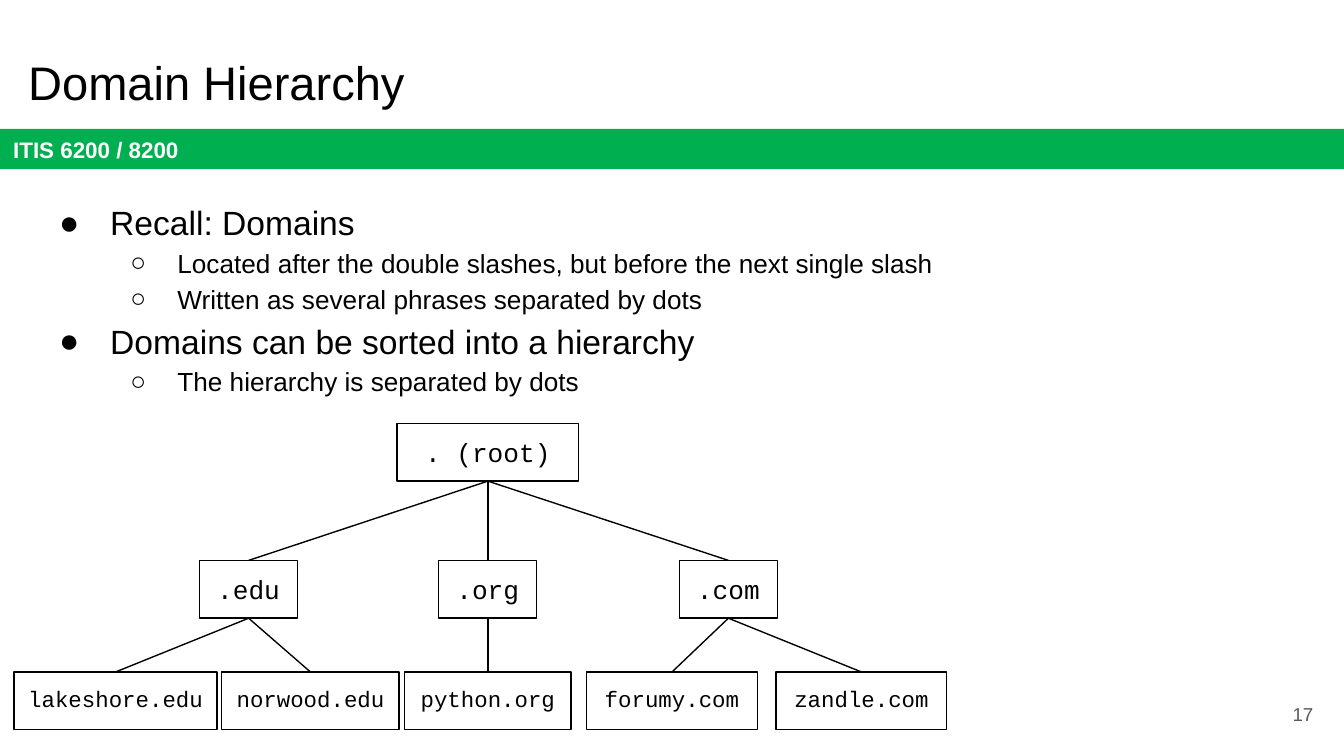
from lxml.etree import SubElement
from pptx import Presentation
from pptx.dml.color import RGBColor
from pptx.enum.shapes import MSO_CONNECTOR, MSO_SHAPE
from pptx.enum.text import MSO_ANCHOR, MSO_AUTO_SIZE, PP_ALIGN
from pptx.oxml.ns import qn
from pptx.util import Inches, Pt

BLACK = RGBColor(0x00, 0x00, 0x00)
WHITE = RGBColor(0xFF, 0xFF, 0xFF)
GREEN = RGBColor(0x00, 0xB0, 0x50)
GRAY = RGBColor(0x59, 0x59, 0x59)
SANS, MONO = "Arial", "Courier New"

WIDTH = 10
HEIGHT = WIDTH * 9 / 16
TITLE = "Domain Hierarchy"
COURSE = "ITIS 6200 / 8200"
PAGE_NUMBER = "17"
BULLETS = [
    (0, "Recall: Domains"),
    (1, "Located after the double slashes, but before the next single slash"),
    (1, "Written as several phrases separated by dots"),
    (0, "Domains can be sorted into a hierarchy"),
    (1, "The hierarchy is separated by dots"),
]
# Per level: bullet character, font size, left margin, hanging indent
BULLET_STYLES = [("●", 18, 0.5, 0.38), ("○", 14, 1, 0.35)]

# Top-level domains: (name, centre, sites), each site: (name, centre, box width)
ROOT, ROOT_CENTER = ". (root)", 3.63
HIERARCHY = [
    (".edu", 1.85, [("lakeshore.edu", 0.86, 1.51), ("norwood.edu", 2.31, 1.32)]),
    (".org", 3.63, [("python.org", 3.63, 1.24)]),
    (".com", 5.42, [("forumy.com", 5, 1.27), ("zandle.com", 6.41, 1.27)]),
]
ROOT_TOP, DOMAIN_TOP, SITE_TOP = 3.15, 4.17, 5
ROOT_WIDTH, DOMAIN_WIDTH, BOX_HEIGHT = 1.35, 0.73, 0.43


def place(shape, left, top, width, height):
    shape.left, shape.top = Inches(left), Inches(top)
    shape.width, shape.height = Inches(width), Inches(height)


def prepare_frame(shape, anchor):
    frame = shape.text_frame
    frame.word_wrap = True
    frame.auto_size = MSO_AUTO_SIZE.NONE
    frame.vertical_anchor = anchor
    frame.margin_left = frame.margin_right = Inches(0.1)
    frame.margin_top = frame.margin_bottom = Inches(0.1)
    return frame


def format_runs(paragraph, size, color, font=SANS, bold=False):
    for run in paragraph.runs:
        run.font.name, run.font.size, run.font.bold = font, Pt(size), bold
        run.font.color.rgb = color


def write(shape, text, size, color, font=SANS, bold=False,
          align=PP_ALIGN.LEFT, anchor=MSO_ANCHOR.MIDDLE):
    frame = prepare_frame(shape, anchor)
    frame.text = text
    paragraph = frame.paragraphs[0]
    paragraph.alignment = align
    format_runs(paragraph, size, color, font, bold)


def set_bullet(paragraph, character, margin, hanging):
    properties = paragraph._p.get_or_add_pPr()
    properties.set("marL", str(Inches(margin)))
    properties.set("indent", str(-Inches(hanging)))
    color = SubElement(properties, qn("a:buClr"))
    SubElement(color, qn("a:srgbClr"), val=str(BLACK))
    SubElement(properties, qn("a:buFont"), typeface=SANS)
    SubElement(properties, qn("a:buChar"), char=character)


def fill_body(shape):
    frame = prepare_frame(shape, MSO_ANCHOR.TOP)
    frame.text = "\n".join(text for _, text in BULLETS)
    for paragraph, (level, _) in zip(frame.paragraphs, BULLETS):
        character, size, margin, hanging = BULLET_STYLES[level]
        paragraph.level = level
        paragraph.line_spacing = 1.15
        paragraph.space_before = Pt(0)
        set_bullet(paragraph, character, margin, hanging)
        format_runs(paragraph, size, BLACK)


def add_rectangle(slide, left, top, width, height):
    shape = slide.shapes.add_shape(
        MSO_SHAPE.RECTANGLE, Inches(left), Inches(top), Inches(width), Inches(height))
    shape.shadow.inherit = False
    return shape


def add_node(slide, text, center, top, width, size=14, anchor=MSO_ANCHOR.TOP):
    box = add_rectangle(slide, center - width / 2, top, width, BOX_HEIGHT)
    box.fill.background()
    box.line.color.rgb = BLACK
    box.line.width = Pt(0.75)
    write(box, text, size, BLACK, MONO, align=PP_ALIGN.CENTER, anchor=anchor)
    box.text_frame.word_wrap = False
    return box


def link(slide, parent, child):
    """Join the bottom of the parent box to the top of the child box."""
    line = slide.shapes.add_connector(MSO_CONNECTOR.STRAIGHT, 0, 0, 0, 0)
    line.begin_connect(parent, 2)
    line.end_connect(child, 0)
    line.line.color.rgb = BLACK
    line.line.width = Pt(0.75)
    SubElement(line._element.spPr, qn("a:effectLst"))


def draw_hierarchy(slide):
    root = add_node(slide, ROOT, ROOT_CENTER, ROOT_TOP, ROOT_WIDTH,
                    anchor=MSO_ANCHOR.MIDDLE)
    for domain, center, sites in HIERARCHY:
        domain_box = add_node(slide, domain, center, DOMAIN_TOP, DOMAIN_WIDTH)
        link(slide, root, domain_box)
        for site, site_center, width in sites:
            site_box = add_node(slide, site, site_center, SITE_TOP, width, size=12)
            link(slide, domain_box, site_box)


def main():
    presentation = Presentation()
    presentation.slide_width, presentation.slide_height = Inches(WIDTH), Inches(HEIGHT)
    slide = presentation.slides.add_slide(presentation.slide_layouts[1])

    title, body = slide.placeholders
    place(title, 0.11, 0.3, 9.32, 0.63)
    write(title, TITLE, 25.2, BLACK, anchor=MSO_ANCHOR.TOP)
    place(body, 0.22, 1.36, 9.32, 1.74)
    fill_body(body)

    course_bar = add_rectangle(slide, 0, 0.96, WIDTH, 0.3)
    course_bar.fill.solid()
    course_bar.fill.fore_color.rgb = GREEN
    course_bar.line.fill.background()
    write(course_bar, COURSE, 12, WHITE, bold=True)

    page_box = slide.shapes.add_textbox(
        Inches(9.27), Inches(5.1), Inches(0.6), Inches(0.43))
    write(page_box, PAGE_NUMBER, 10, GRAY, align=PP_ALIGN.RIGHT)

    draw_hierarchy(slide)
    presentation.save("out.pptx")


if __name__ == "__main__":
    main()
